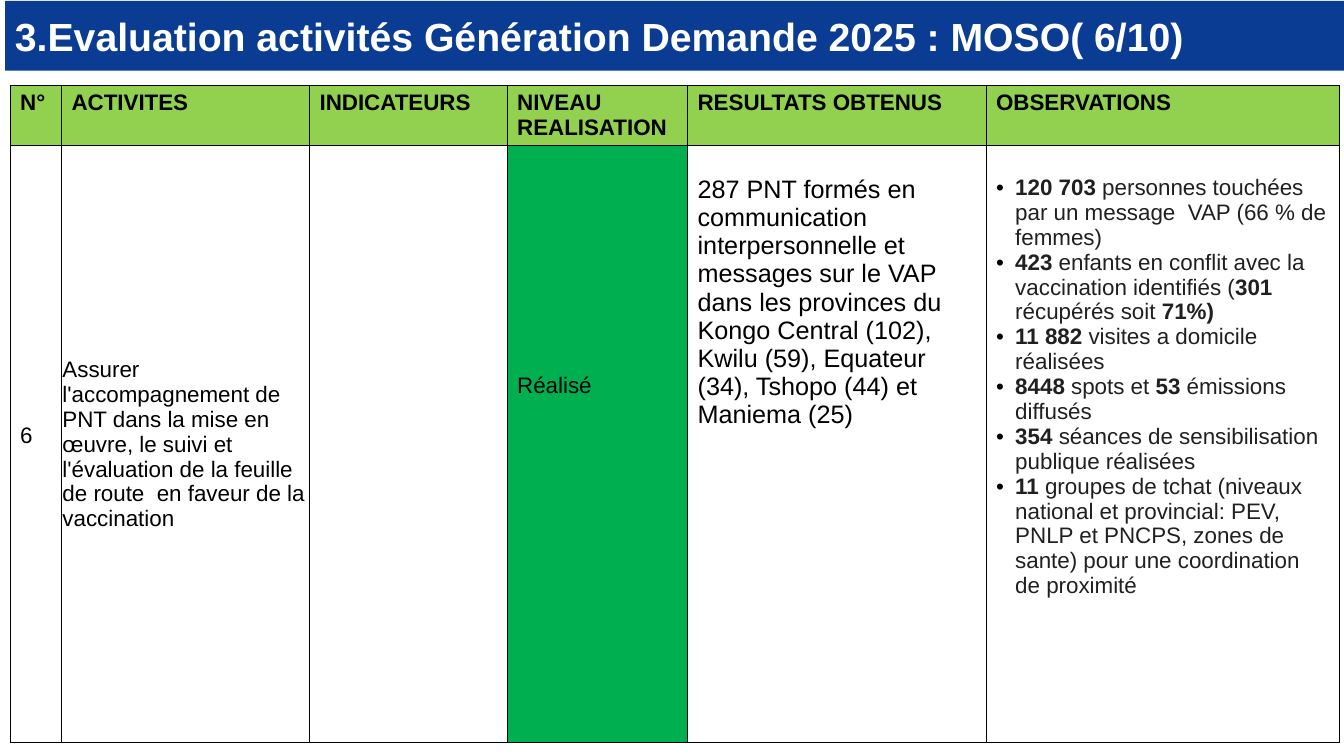
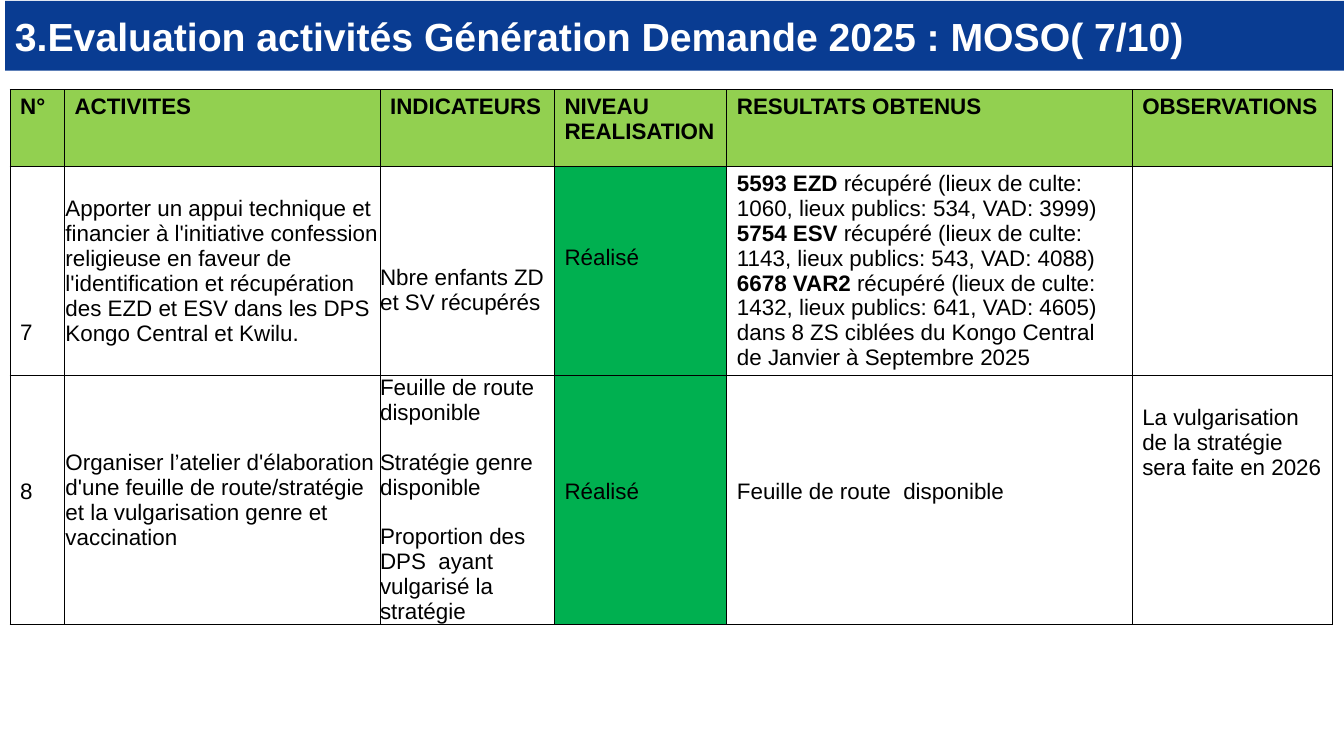
from lxml import etree
from pptx import Presentation
from pptx import util as u
from pptx.dml.color import RGBColor
from pptx.enum import shapes, text
from pptx.oxml import ns

FONT = "Arial"
BLUE = RGBColor(0x09, 0x3C, 0x92)
LIGHT_GREEN = RGBColor(0x92, 0xD0, 0x50)
GREEN = RGBColor(0x00, 0xB0, 0x50)
WHITE = RGBColor(0xFF, 0xFF, 0xFF)
BLACK = RGBColor(0x00, 0x00, 0x00)
DARK = RGBColor(0x20, 0x20, 0x20)

LINE_HEIGHT = 0.246  # one line of 16 pt text, in inches
MARGINS = (0.1, 0.05, 0.1, 0.05)  # left, top, right, bottom
TIGHT = (0.01, 0.01, 0.01, 0)
NO_MARGINS = (0, 0, 0, 0)
HEADINGS = ["N°", "ACTIVITES", "INDICATEURS", "NIVEAU REALISATION",
            "RESULTATS OBTENUS", "OBSERVATIONS"]


def add_bullet(para):
    properties = para._p.get_or_add_pPr()
    properties.set("marL", str(u.Inches(0.19)))
    properties.set("indent", str(u.Inches(-0.19)))
    color = etree.SubElement(properties, ns.qn("a:buClr"))
    etree.SubElement(color, ns.qn("a:srgbClr"), val=str(BLACK))
    etree.SubElement(properties, ns.qn("a:buFont"), typeface=FONT)
    etree.SubElement(properties, ns.qn("a:buChar"), char="•")


def write_text(frame, content, size=16, color=BLACK, bold=False,
               bullets=False, gap=0):
    """Write one paragraph per line; ** switches bold on and off."""
    for index, line in enumerate(content.split("\n")):
        para = frame.paragraphs[0] if index == 0 else frame.add_paragraph()
        para.alignment = text.PP_ALIGN.LEFT
        if index and gap:
            para.space_before = u.Pt(gap)
        if bullets:
            add_bullet(para)
        for position, part in enumerate(line.split("**")):
            if part:
                span = para.add_run()
                span.text = part
                span.font.name = FONT
                span.font.size = u.Pt(size)
                span.font.bold = bold or position % 2 == 1
                span.font.color.rgb = color


def add_borders(cell):
    properties = cell._tc.get_or_add_tcPr()
    for side in ("a:lnL", "a:lnR", "a:lnT", "a:lnB"):
        border = etree.SubElement(properties, ns.qn(side), w=str(u.Pt(0.75)))
        fill = etree.SubElement(border, ns.qn("a:solidFill"))
        etree.SubElement(fill, ns.qn("a:srgbClr"), val=str(BLACK))


def fill_cell(cell, content="", fill=WHITE, margins=MARGINS, skip=0,
              middle=False, **style):
    """Style a cell; skip lowers its text by that many lines."""
    left, top, right, bottom = margins
    cell.margin_left, cell.margin_right = u.Inches(left), u.Inches(right)
    cell.margin_top = u.Inches(top + skip * LINE_HEIGHT)
    cell.margin_bottom = u.Inches(bottom)
    cell.vertical_anchor = (text.MSO_ANCHOR.MIDDLE if middle
                            else text.MSO_ANCHOR.TOP)
    add_borders(cell)
    cell.fill.solid()
    cell.fill.fore_color.rgb = fill
    write_text(cell.text_frame, content, **style)


# Kinds of cell in the activity rows
def activity(content):
    return dict(content=content, margins=TIGHT, middle=True)


def indicator(content, **options):
    return dict(content=content, margins=NO_MARGINS, **options)


def done(skip):
    return dict(content="Réalisé", fill=GREEN, skip=skip)


def add_activity_table(page, top, widths, heights, rows):
    header = [dict(content=heading, fill=LIGHT_GREEN, bold=True)
              for heading in HEADINGS]
    table = page.shapes.add_table(
        len(heights), len(widths), u.Inches(0.1), u.Inches(top),
        u.Inches(sum(widths)), u.Inches(sum(heights))).table
    table.first_row = table.horz_banding = False
    for column, width in zip(table.columns, widths):
        column.width = u.Inches(width)
    for row, height, cells in zip(table.rows, heights, [header] + rows):
        row.height = u.Inches(height)
        for cell, options in zip(row.cells, cells):
            fill_cell(cell, **options)


def add_title(page, number):
    band = page.shapes.add_shape(
        shapes.MSO_SHAPE.RECTANGLE, u.Inches(0.05), u.Inches(0.01),
        u.Inches(13.28), u.Inches(0.69))
    band.shadow.inherit = False
    band.fill.solid()
    band.fill.fore_color.rgb = BLUE
    band.line.fill.background()
    band.text_frame.word_wrap = True
    band.text_frame.vertical_anchor = text.MSO_ANCHOR.MIDDLE
    write_text(band.text_frame,
               "3.Evaluation activités Génération Demande 2025 : "
               f"MOSO( {number}/10)", size=28, color=WHITE, bold=True)


def add_page(deck, number, **table):
    page = deck.slides.add_slide(deck.slide_layouts[6])
    add_activity_table(page, **table)
    add_title(page, number)


def main():
    deck = Presentation()
    deck.slide_width, deck.slide_height = u.Inches(13.33), u.Inches(7.5)

    # Activity 6
    add_page(
        deck, 6, top=0.85, widths=[0.51, 2.46, 1.96, 1.79, 2.96, 3.51],
        heights=[0.59, 5.92],
        rows=[[
            dict(content="6", skip=11),
            activity("Assurer l'accompagnement de PNT dans la mise en œuvre, "
                     "le suivi et l'évaluation de la feuille de route  en "
                     "faveur de la vaccination"),
            {},
            done(9),
            dict(content="287 PNT formés en communication interpersonnelle "
                 "et messages sur le VAP dans les provinces du Kongo Central "
                 "(102), Kwilu (59), Equateur (34), Tshopo (44) et Maniema "
                 "(25)", size=18, skip=1),
            dict(content="**120 703** personnes touchées par un message  VAP "
                 "(66 % de femmes)\n"
                 "**423** enfants en conflit avec la vaccination identifiés "
                 "(**301 **récupérés soit **71%)**\n"
                 "**11 882 **visites a domicile réalisées\n"
                 "**8448 **spots et **53 **émissions diffusés\n"
                 "**354 **séances de sensibilisation publique réalisées\n"
                 "**11** groupes de tchat (niveaux national et provincial: "
                 "PEV, PNLP et PNCPS, zones de sante) pour une coordination "
                 "de proximité", color=DARK, bullets=True, skip=1),
        ]])

    # Activities 7 and 8
    add_page(
        deck, 7, top=0.89, widths=[0.54, 3.13, 1.73, 1.71, 4.02, 1.99],
        heights=[0.76, 2.07, 2.47],
        rows=[[
            dict(content="7", skip=6),
            activity("Apporter un appui technique et financier à "
                     "l'initiative confession religieuse en faveur de "
                     "l'identification et récupération des EZD et ESV dans "
                     "les DPS Kongo Central et Kwilu."),
            indicator("Nbre enfants ZD et SV récupérés", skip=4),
            done(3),
            dict(content="**5593 EZD** récupéré (lieux de culte: 1060, lieux "
                 "publics: 534, VAD: 3999)\n"
                 "**5754 ESV** récupéré (lieux de culte: 1143, lieux "
                 "publics: 543, VAD: 4088)\n"
                 "**6678 VAR2** récupéré (lieux de culte: 1432, lieux "
                 "publics: 641, VAD: 4605)\n"
                 "dans 8 ZS ciblées du Kongo Central de Janvier à "
                 "Septembre 2025"),
            {},
        ], [
            dict(content="8", skip=4),
            activity("Organiser l’atelier d'élaboration d'une feuille de "
                     "route/stratégie et la vulgarisation genre et "
                     "vaccination"),
            indicator("Feuille de route  disponible\n"
                      "Stratégie genre disponible\n"
                      "Proportion des DPS  ayant vulgarisé la stratégie",
                      gap=17.7),
            done(4),
            dict(content="Feuille de route  disponible", skip=4),
            dict(content="La vulgarisation de la stratégie sera faite en "
                 "2026", skip=1),
        ]])

    deck.save("out.pptx")


if __name__ == "__main__":
    main()
